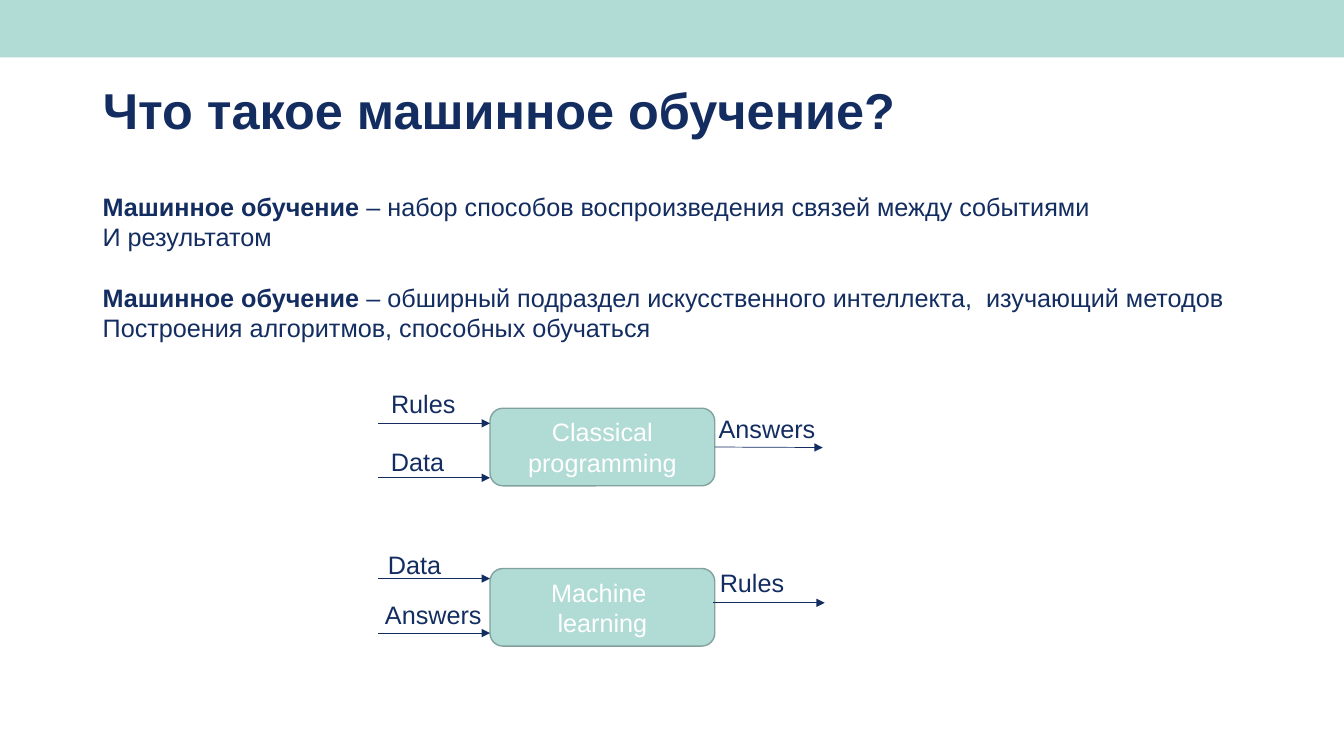
"""Build a slide that defines machine learning and contrasts it with classical programming."""
from pptx import Presentation
from pptx.dml.color import RGBColor
from pptx.enum.shapes import MSO_CONNECTOR as CONN, MSO_SHAPE as SHAPE
from pptx.enum.text import MSO_ANCHOR as ANCHOR, MSO_AUTO_SIZE as AUTO, PP_ALIGN as ALIGN
from pptx.oxml.ns import qn
from pptx.util import Inches, Pt
from lxml.etree import SubElement

COLORS = {"mint": "B1DBD5", "edge": "83A29E", "navy": "132D61", "white": "FFFFFF"}
FONT = "Arial"
TITLE = "Что такое машинное обучение?"
TERM = "Машинное обучение "
DEFINITIONS = [
    ("– набор способов воспроизведения связей между событиями", "И результатом"),
    ("– обширный подраздел искусственного интеллекта,  изучающий методов",
     "Построения алгоритмов, способных обучаться"),
]
LABEL_WIDTHS = {"Rules": 0.85, "Data": 0.73, "Answers": 1.17}
BOX_X, BOX_W, BOX_H = 4.86, 2.23, 0.77
INPUT_X = 3.75
FLOWS = [
    {"lines": ["Classical programming"], "top": 4.05,
     "inputs": [4.2, 4.74], "output": (7.09, 8.16, 4.44), "joined": True,
     "labels": [("Rules", 3.78, 3.8), ("Data", 3.78, 4.38), ("Answers", 7.03, 4.05)]},
    {"lines": ["Machine ", "learning"], "top": 5.64,
     "inputs": [5.74, 6.28], "output": (7.07, 8.18, 5.98), "joined": False,
     "labels": [("Data", 3.75, 5.4), ("Answers", 3.72, 5.9), ("Rules", 7.04, 5.58)]},
]


def rgb(name):
    return RGBColor.from_string(COLORS[name])


def style(r, size=18, color="navy", bold=False):
    r.font.name, r.font.size, r.font.bold = FONT, Pt(size), bold
    r.font.color.rgb = rgb(color)


def add_run(p, text, **look):
    r = p.add_run()
    r.text = text
    style(r, **look)


def add_box(s, kind, x, y, w, h):
    sp = s.shapes.add_shape(kind, Inches(x), Inches(y), Inches(w), Inches(h))
    sp.shadow.inherit = False
    sp.fill.solid()
    sp.fill.fore_color.rgb = rgb("mint")
    sp.line.fill.background()
    return sp


def add_text(s, x, y, w, h):
    tf = s.shapes.add_textbox(Inches(x), Inches(y), Inches(w), Inches(h)).text_frame
    tf.word_wrap = False
    tf.auto_size = AUTO.SHAPE_TO_FIT_TEXT
    return tf


def add_arrow(s, x1, x2, y):
    line = s.shapes.add_connector(CONN.STRAIGHT, Inches(x1), Inches(y), Inches(x2), Inches(y))
    line.line.color.rgb = rgb("navy")
    line.line.width = Pt(0.5)
    SubElement(line.line._get_or_add_ln(), qn("a:tailEnd"), type="triangle")
    SubElement(line._element.spPr, qn("a:effectLst"))
    return line


def add_title(s):
    sp = s.shapes.title
    sp.left, sp.top, sp.width, sp.height = map(Inches, (0.92, 0.4, 11.5, 1.45))
    tf = sp.text_frame
    tf.text = TITLE
    tf.vertical_anchor = ANCHOR.MIDDLE
    p = tf.paragraphs[0]
    p.alignment, p.line_spacing = ALIGN.LEFT, 0.9
    style(p.runs[0], size=36, bold=True)


def add_definitions(s):
    tf = add_text(s, 0.92, 1.85, 11.43, 1.62)
    for i, (first, second) in enumerate(DEFINITIONS):
        p = tf.add_paragraph() if i else tf.paragraphs[0]
        if i:
            p.space_before = Pt(21.6)
        add_run(p, TERM, bold=True)
        add_run(p, first)
        add_run(tf.add_paragraph(), second)


def add_flow(s, flow):
    box = add_box(s, SHAPE.ROUNDED_RECTANGLE, BOX_X, flow["top"], BOX_W, BOX_H)
    box.line.color.rgb = rgb("edge")
    box.line.width = Pt(1)
    tf = box.text_frame
    tf.word_wrap = True
    tf.vertical_anchor = ANCHOR.MIDDLE
    tf.text = "\n".join(flow["lines"])
    for p in tf.paragraphs:
        p.alignment = ALIGN.CENTER
        style(p.runs[0], color="white")
    for y in flow["inputs"]:
        add_arrow(s, INPUT_X, BOX_X, y)
    output = add_arrow(s, *flow["output"])
    if flow["joined"]:
        output.begin_connect(box, 3)
    for text, x, y in flow["labels"]:
        label = add_text(s, x, y, LABEL_WIDTHS[text], 0.4)
        add_run(label.paragraphs[0], text)


def main():
    prs = Presentation()
    prs.slide_width, prs.slide_height = Inches(13.33), Inches(7.5)
    s = prs.slides.add_slide(prs.slide_layouts[5])
    band = add_box(s, SHAPE.RECTANGLE, 0, 0, 13.33, 0.57)
    s.shapes.title._element.addprevious(band._element)
    add_title(s)
    add_definitions(s)
    for flow in FLOWS:
        add_flow(s, flow)
    prs.save("out.pptx")


if __name__ == "__main__":
    main()
